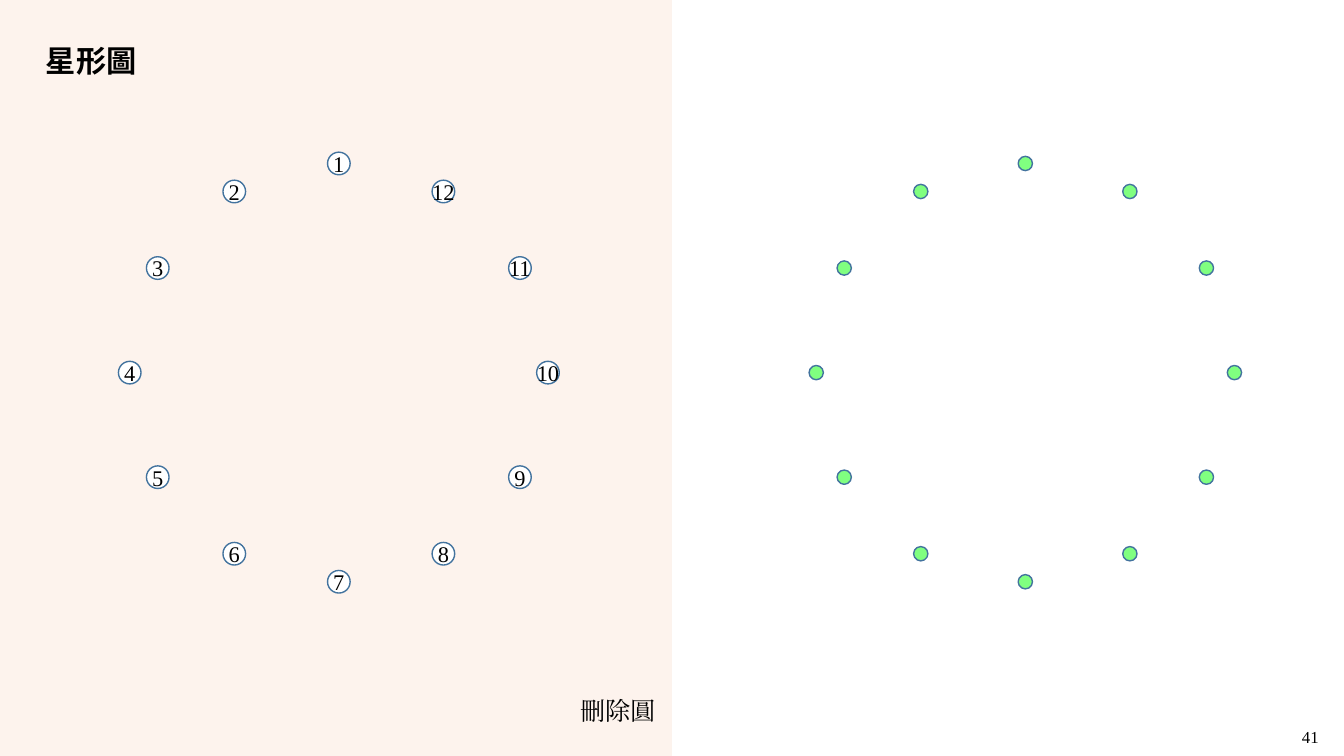
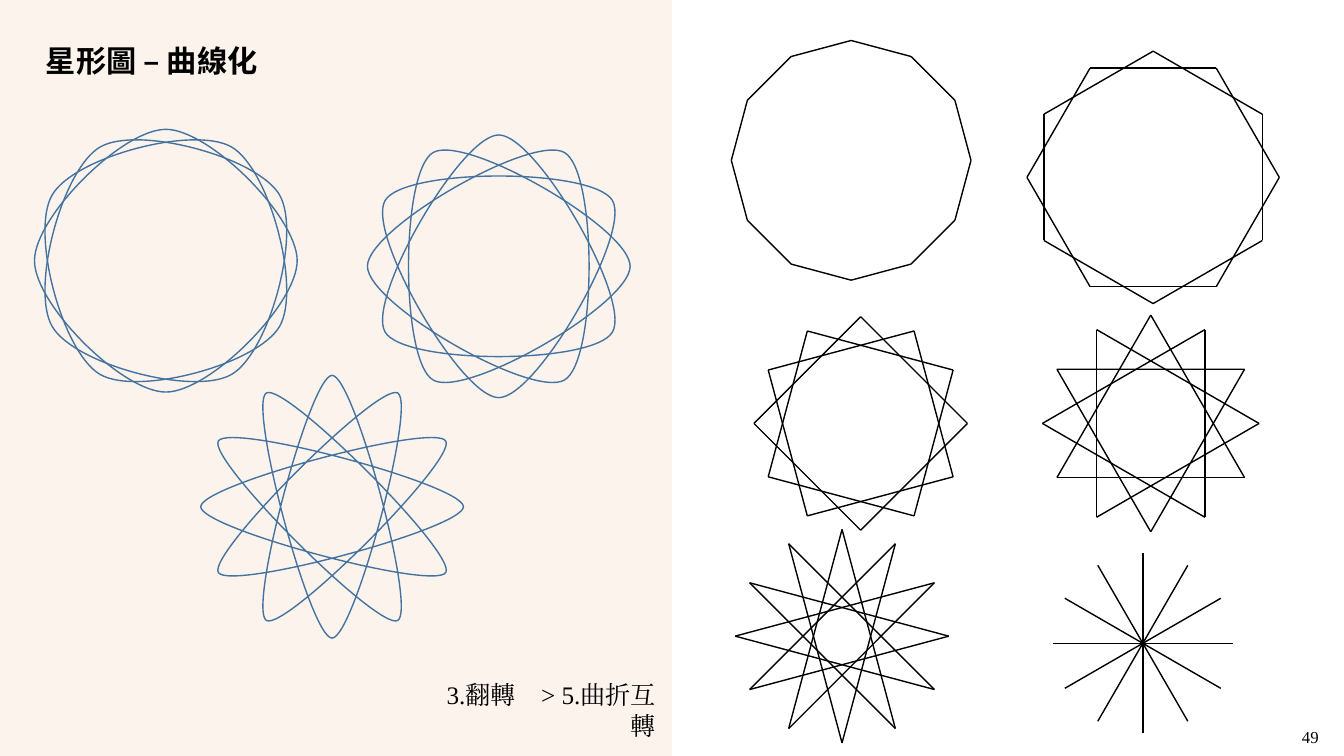
from dataclasses import dataclass
from math import cos, gcd, pi, sin

from lxml import etree
from pptx import Presentation
from pptx import util as u
from pptx.dml.color import RGBColor
from pptx.enum import shapes, text
from pptx.oxml.ns import qn


@dataclass(frozen=True)
class Theme:
    band: str = "F4B183"
    divider: str = "FBE5D6"
    outline: str = "43739E"
    ink: str = "000000"
    white: str = "FFFFFF"
    green: str = "80FF80"
    title_font: str = "Noto Sans CJK SC"
    body_font: str = "Times New Roman"
    title_size: float = 21.6
    note_size: float = 18
    label_size: float = 16
    page_size: float = 12


THEME = Theme()
POINTS = 12
WIDTH, HEIGHT, HALF = 33.87, 19.05, 16.93

# Centre x, centre y, radius (cm) and how many points each stroke skips
CURVED_STARS = [
    (4.18, 6.57, 3.31, 3),
    (12.57, 6.71, 3.31, 4),
    (8.37, 12.77, 3.31, 5),
]
STRAIGHT_STARS = [
    (21.45, 4.04, 3.02, 1),
    (29.06, 4.47, 3.18, 2),
    (21.69, 10.67, 2.69, 3),
    (29.0, 10.67, 2.73, 4),
    (21.22, 16.03, 2.69, 5),
    (28.8, 16.21, 2.27, 6),
]


# Geometry: points run counterclockwise from the top
def ring_point(x, y, radius, index):
    angle = 2 * pi * index / POINTS
    return x - radius * sin(angle), y - radius * cos(angle)


# Styling
def set_opacity(fill_parent, percent):
    color = next(fill_parent.iter(qn("a:srgbClr")))
    etree.SubElement(color, qn("a:alpha"), val=str(percent * 1000))


def paint(shape, fill=None, line=None):
    shape.shadow.inherit = False
    if fill:
        shape.fill.solid()
        shape.fill.fore_color.rgb = RGBColor.from_string(fill)
    else:
        shape.fill.background()
    if line:
        shape.line.color.rgb = RGBColor.from_string(line)
        shape.line.width = u.Pt(1)
    else:
        shape.line.fill.background()


def write(box, words, size, face=THEME.body_font, align=text.PP_ALIGN.LEFT,
          bold=False, wrap=True):
    frame = box.text_frame
    frame.text = words
    frame.word_wrap = wrap
    frame.vertical_anchor = text.MSO_ANCHOR.MIDDLE
    para = frame.paragraphs[0]
    para.alignment = align
    span = para.runs[0]
    span.font.size = u.Pt(size)
    span.font.bold = bold
    span.font.color.rgb = RGBColor.from_string(THEME.ink)
    span.font.name = face
    etree.SubElement(span.font._element, qn("a:ea"), typeface=face)
    return para


# Elements
def add_line(parent, start, end, color, width=1.0):
    line = parent.shapes.add_connector(
        shapes.MSO_CONNECTOR.STRAIGHT, *map(u.Cm, (*start, *end)))
    line.line.color.rgb = RGBColor.from_string(color)
    line.line.width = u.Pt(width)
    etree.SubElement(line._element.spPr, qn("a:effectLst"))
    return line


def add_ring(page, x, y, radius, diameter, fill, numbered=False):
    group = page.shapes.add_group_shape()
    for index in range(POINTS):
        dot_x, dot_y = ring_point(x, y, radius, index)
        dot = group.shapes.add_shape(
            shapes.MSO_SHAPE.OVAL, u.Cm(dot_x - diameter / 2),
            u.Cm(dot_y - diameter / 2), u.Cm(diameter), u.Cm(diameter))
        paint(dot, fill, THEME.outline)
        if numbered:
            write(dot, str(index + 1), THEME.label_size,
                  align=text.PP_ALIGN.CENTER, wrap=False)
            frame = dot.text_frame
            frame.margin_left = frame.margin_right = 0
            frame.margin_top = frame.margin_bottom = 0


def add_straight_star(page, x, y, radius, step):
    group = page.shapes.add_group_shape()
    # Opposite points share one diameter
    strokes = POINTS // 2 if 2 * step == POINTS else POINTS
    for index in range(strokes):
        add_line(group, ring_point(x, y, radius, index),
                 ring_point(x, y, radius, index + step), THEME.ink)


def add_curved_star(page, x, y, radius, step):
    loops = gcd(POINTS, step)
    for first in range(loops):
        indexes = [first + step * turn for turn in range(POINTS // loops + 1)]
        add_curve(page, x, y, radius, step, indexes)


def add_curve(page, x, y, radius, step, indexes):
    corners = [tuple(map(u.Cm, ring_point(x, y, radius, i))) for i in indexes]
    builder = page.shapes.build_freeform(*corners[0], scale=1.0)
    builder.add_line_segments(corners[1:], close=True)
    curve = builder.convert_to_shape()
    paint(curve, line=THEME.outline)

    # Each handle lies on the tangent, a sixth of the span between neighbours
    handle = radius * sin(2 * pi * step / POINTS) / 3

    def handle_point(index, side):
        corner_x, corner_y = ring_point(x, y, radius, index)
        angle = 2 * pi * index / POINTS
        return (u.Cm(corner_x - side * handle * cos(angle)),
                u.Cm(corner_y + side * handle * sin(angle)))

    segments = list(curve._element.iter(qn("a:lnTo")))
    for segment, start, end in zip(segments, indexes, indexes[1:]):
        segment.tag = qn("a:cubicBezTo")
        for place, (px, py) in enumerate(
                (handle_point(start, 1), handle_point(end, -1))):
            point = etree.Element(qn("a:pt"), x=str(px - curve.left),
                                  y=str(py - curve.top))
            segment.insert(place, point)


# Shared page: tinted half, divider, title, note and page number
def add_page(deck, title, note, number):
    page = deck.slides.add_slide(deck.slide_layouts[6])
    band = page.shapes.add_shape(
        shapes.MSO_SHAPE.RECTANGLE, 0, 0, u.Cm(HALF), u.Cm(HEIGHT))
    paint(band, THEME.band)
    set_opacity(band._element.spPr, 14)
    divider = add_line(page, (HALF, HEIGHT), (HALF, 0), THEME.divider, 0.25)
    set_opacity(divider._element.spPr, 50)

    box = page.shapes.add_textbox(
        u.Cm(0.91), u.Cm(1.02), u.Cm(15.11), u.Cm(1.12))
    para = write(box, title, THEME.title_size, THEME.title_font, bold=True)
    para.line_spacing = 0.9

    box = page.shapes.add_shape(
        shapes.MSO_SHAPE.ROUNDED_RECTANGLE,
        u.Cm(10.54), u.Cm(17.32), u.Cm(6.3), u.Cm(1.14))
    paint(box)
    write(box, note, THEME.note_size, align=text.PP_ALIGN.RIGHT)

    box = page.shapes.add_textbox(
        u.Cm(32.56), u.Cm(18.19), u.Cm(0.94), u.Cm(0.76))
    write(box, str(number), THEME.page_size, wrap=False)
    return page


def main():
    deck = Presentation()
    deck.slide_width, deck.slide_height = u.Cm(WIDTH), u.Cm(HEIGHT)

    # Numbered ring and plain ring
    page = add_page(deck, "星形圖", "刪除圓", 41)
    add_ring(page, 8.54, 9.39, 5.27, 0.57, THEME.white, numbered=True)
    add_ring(page, 25.84, 9.39, 5.27, 0.36, THEME.green)

    # Curved and straight stars
    page = add_page(deck, "星形圖 – 曲線化", "3.翻轉　> 5.曲折互轉", 49)
    for star in CURVED_STARS:
        add_curved_star(page, *star)
    for star in STRAIGHT_STARS:
        add_straight_star(page, *star)

    deck.save("out.pptx")


if __name__ == "__main__":
    main()
